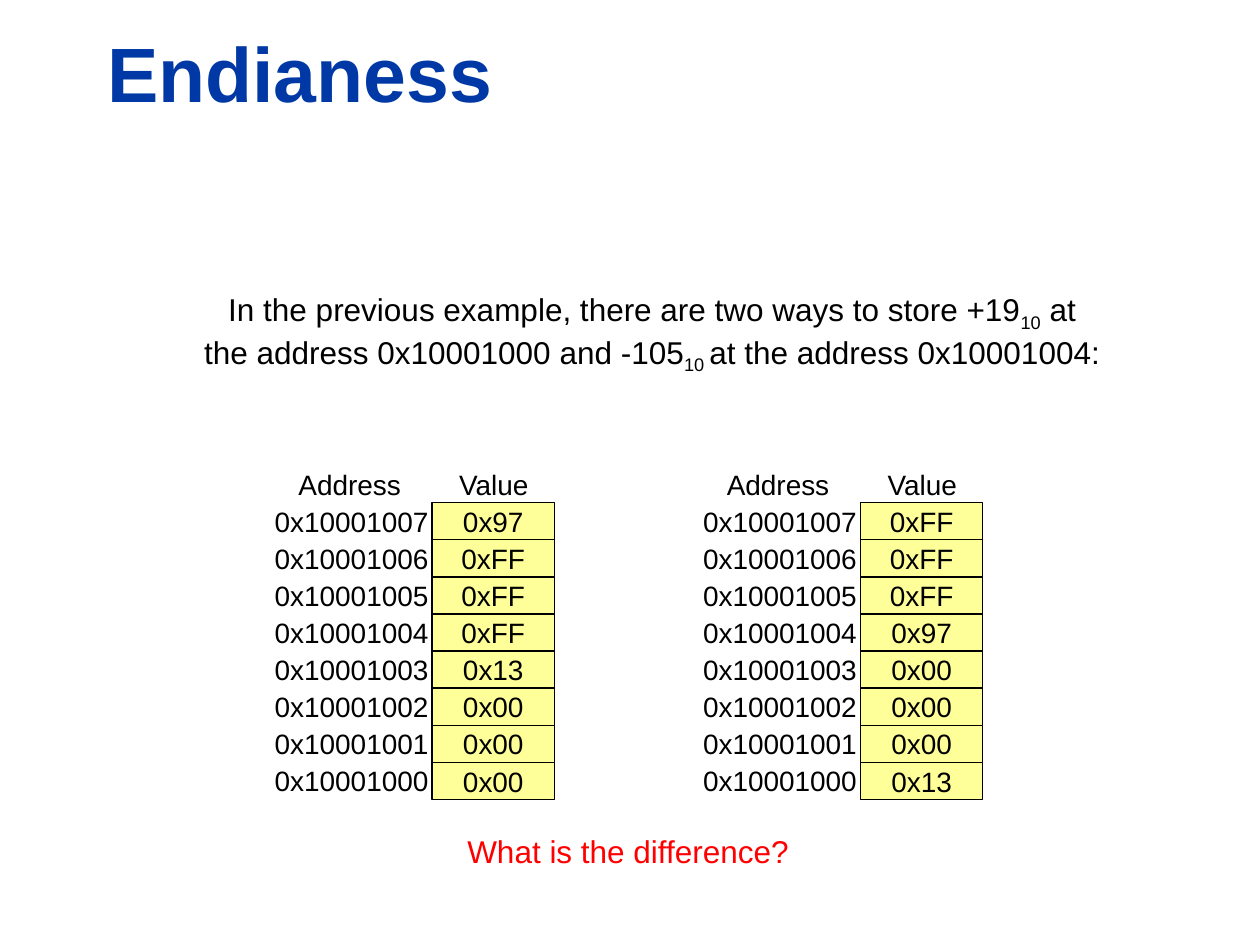
"""Build the Endianess slide: two byte orders side by side."""
from pptx import Presentation
from pptx.dml.color import RGBColor
from pptx.enum.shapes import MSO_SHAPE
from pptx.enum.text import MSO_ANCHOR, MSO_AUTO_SIZE, PP_ALIGN
from pptx.util import Inches, Pt

RECT = MSO_SHAPE.RECTANGLE
MID, LOW = MSO_ANCHOR.MIDDLE, MSO_ANCHOR.BOTTOM
LEFT, CENTER = PP_ALIGN.LEFT, PP_ALIGN.CENTER
GROW, FIXED = MSO_AUTO_SIZE.SHAPE_TO_FIT_TEXT, MSO_AUTO_SIZE.NONE
HUES = {"title": "0039A6", "text": "000000", "cell": "FFFF99", "ask": "FF0000"}

TOP, ROW = 3.99, 0.29 + 0.03 / 7
TALL = 0.37
HEADS = [("Address", 0.19, 1.01), ("Value", 1.46, 0.76)]
MAPS = [
    (2.08, ["0x97", "0xFF", "0xFF", "0xFF", "0x13", "0x00", "0x00", "0x00"]),
    (5.48, ["0xFF", "0xFF", "0xFF", "0x97", "0x00", "0x00", "0x00", "0x13"]),
]
INTRO = [
    [("In the previous example, there are two ways to store +19", False),
     ("10", True), (" at", False)],
    [("the address 0x10001000 and -105", False),
     ("10 ", True), ("at the address 0x10001004:", False)],
]


def write(frame, lines, size, hue="text", align=CENTER, bold=False):
    for n, line in enumerate(lines):
        para = frame.add_paragraph() if n else frame.paragraphs[0]
        para.alignment = align
        for words, sub in line:
            run = para.add_run()
            run.text = words
            font = run.font
            font.name, font.size, font.bold = "Arial", Pt(size), bold
            font.color.rgb = RGBColor.from_string(HUES[hue])
            if sub:
                font._element.set("baseline", "-25000")


def label(home, lines, x, y, w, h, size=16, hue="text"):
    box = home.add_textbox(Inches(x), Inches(y), Inches(w), Inches(h))
    frame = box.text_frame
    frame.word_wrap, frame.auto_size = False, GROW
    frame.vertical_anchor = MID
    write(frame, lines, size, hue)


deck = Presentation()
deck.slide_width, deck.slide_height = Inches(10), Inches(7.5)
slide = deck.slides.add_slide(deck.slide_layouts[5])

title = slide.shapes.title
title.left, title.top = Inches(0.75), Inches(0.16)
title.width, title.height = Inches(9.03), Inches(0.83)
title.text_frame.vertical_anchor = LOW
title.text_frame.auto_size = FIXED
write(title.text_frame, [[("Endianess", False)]], 44, "title", LEFT, True)

label(slide.shapes, INTRO, 1.52, 2.25, 7.31, 0.78, 18)

for x, bytes_ in MAPS:
    group = slide.shapes.add_group_shape().shapes
    for name, shift, wide in HEADS:
        label(group, [[(name, False)]], x + shift, 3.66, wide, TALL)
    for n, byte in enumerate(bytes_):
        y = TOP + n * ROW
        addr = f"0x1000100{7 - n}"
        label(group, [[(addr, False)]], x, y - 0.04, 1.42, TALL)
        cell = group.add_shape(RECT, Inches(x + 1.35), Inches(y),
                               Inches(0.97), Inches(ROW))
        cell.shadow.inherit = False
        cell.fill.solid()
        cell.fill.fore_color.rgb = RGBColor.from_string(HUES["cell"])
        cell.line.color.rgb = RGBColor.from_string(HUES["text"])
        cell.line.width = Pt(0.75)
        cell.text_frame.word_wrap = False
        cell.text_frame.vertical_anchor = MID
        write(cell.text_frame, [[(byte, False)]], 16)

label(slide.shapes, [[("What is the difference?", False)]],
      3.61, 6.55, 2.75, 0.4, 18, "ask")

deck.save("out.pptx")
